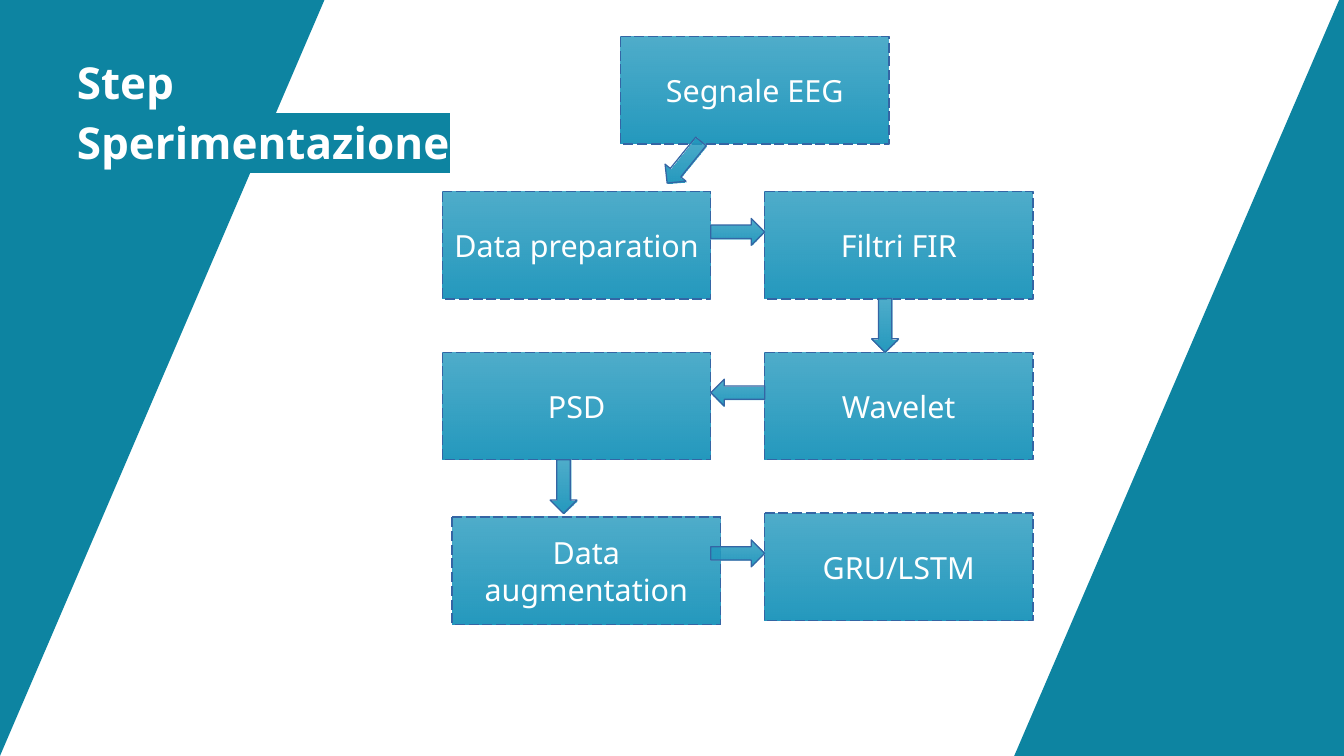
import pptx
import pptx.util
import pptx.dml.color
import pptx.enum.dml
import pptx.enum.shapes
import pptx.enum.text
import pptx.oxml
import pptx.oxml.ns
from pptx.util import Cm

TEAL = pptx.dml.color.RGBColor(0x0D, 0x84, 0xA1)
BLUE = pptx.dml.color.RGBColor(0x24, 0x99, 0xBE)
OUTLINE = pptx.dml.color.RGBColor(0x34, 0x65, 0xA4)
WHITE = pptx.dml.color.RGBColor(0xFF, 0xFF, 0xFF)

SLIDE_WIDTH, SLIDE_HEIGHT = 28, 15.75
BOX_WIDTH, BOX_HEIGHT = 5.59, 2.24
ARROW_WIDTH, ARROW_HEIGHT = 1.12, 0.56
LEFT_COLUMN, RIGHT_COLUMN = 9.22, 15.93
ROWS = 3.99, 7.34, 10.69
GAP_LEFT = LEFT_COLUMN + BOX_WIDTH


def write_text(shape, text, size=18, bold=False, wrap=False, spacing=None,
               alignment=pptx.enum.text.PP_ALIGN.CENTER, highlight=None):
    """Fill the shape with one paragraph per line of text."""
    frame = shape.text_frame
    frame.text = text
    frame.word_wrap = wrap
    frame.vertical_anchor = pptx.enum.text.MSO_ANCHOR.MIDDLE
    for paragraph in frame.paragraphs:
        paragraph.alignment = alignment
        paragraph.line_spacing = spacing
        for run in paragraph.runs:
            run.font.size = pptx.util.Pt(size)
            run.font.bold = bold
            run.font.color.rgb = WHITE
            if highlight is not None:
                run.font._element.append(pptx.oxml.parse_xml(
                    f'<a:highlight {pptx.oxml.ns.nsdecls("a")}>'
                    f'<a:srgbClr val="{highlight}"/></a:highlight>'))
            run.font.name = "Noto Sans"


def add_gradient_shape(kind, left, top, width, height):
    """Add a preset shape that is lighter at its top, whatever its rotation."""
    shape = slide.shapes.add_shape(kind, Cm(left), Cm(top), Cm(width), Cm(height))
    shape.shadow.inherit = False
    shape.fill.gradient()
    shape.fill.gradient_angle = 270
    for stop in shape.fill.gradient_stops:
        stop.color.rgb = BLUE
    gradient = shape._element.spPr.find(pptx.oxml.ns.qn("a:gradFill"))
    gradient.set("rotWithShape", "0")
    top_color = next(gradient.iter(pptx.oxml.ns.qn("a:srgbClr")))
    top_color.append(pptx.oxml.parse_xml(
        f'<a:alpha {pptx.oxml.ns.nsdecls("a")} val="80000"/>'))
    shape.line.color.rgb = OUTLINE
    shape.line.width = 0
    return shape


presentation = pptx.Presentation()
presentation.slide_width = Cm(SLIDE_WIDTH)
presentation.slide_height = Cm(SLIDE_HEIGHT)
slide = presentation.slides.add_slide(presentation.slide_layouts[6])

# Slanted side bands
right_band = [(27.9, 0), (SLIDE_WIDTH, 0), (SLIDE_WIDTH, SLIDE_HEIGHT), (21.13, SLIDE_HEIGHT)]
left_band = [(0, 0), (6.76, 0), (0, SLIDE_HEIGHT)]
for corners in (right_band, left_band):
    points = [(Cm(x), Cm(y)) for x, y in corners]
    builder = slide.shapes.build_freeform(*points[0])
    builder.add_line_segments(points[1:], close=True)
    band = builder.convert_to_shape()
    band.shadow.inherit = False
    band.fill.solid()
    band.fill.fore_color.rgb = TEAL
    band.line.fill.background()

# Title
title = slide.shapes.add_textbox(Cm(1.6), Cm(0.5), Cm(13.9), Cm(3.5))
frame = title.text_frame
frame.margin_left = frame.margin_right = frame.margin_top = frame.margin_bottom = 0
write_text(title, "Step\nSperimentazione", size=26, bold=True, wrap=True, spacing=1.15,
           alignment=pptx.enum.text.PP_ALIGN.LEFT, highlight=TEAL)

# Steps of the experiment
steps = [
    ("Segnale EEG", 12.93, 0.76),
    ("Data preparation", LEFT_COLUMN, ROWS[0]),
    ("Filtri FIR", RIGHT_COLUMN, ROWS[0]),
    ("Wavelet", RIGHT_COLUMN, ROWS[1]),
    ("PSD", LEFT_COLUMN, ROWS[1]),
    ("Data\naugmentation", 9.42, 10.77),
    ("GRU/LSTM", RIGHT_COLUMN, ROWS[2]),
]
for text, left, top in steps:
    box = add_gradient_shape(pptx.enum.shapes.MSO_SHAPE.FLOWCHART_PROCESS,
                             left, top, BOX_WIDTH, BOX_HEIGHT)
    box.line.dash_style = pptx.enum.dml.MSO_LINE.LONG_DASH
    write_text(box, text)

# Arrows from each step to the next
arrows = [
    (13.69, 3.1, 129),
    (GAP_LEFT, ROWS[0] + 0.56, 0),
    (17.88, 6.5, 90),
    (GAP_LEFT, ROWS[1] + 0.56, 180),
    (11.18, 9.86, 90),
    (GAP_LEFT, ROWS[2] + 0.56, 0),
]
for left, top, rotation in arrows:
    arrow = add_gradient_shape(pptx.enum.shapes.MSO_SHAPE.RIGHT_ARROW,
                               left, top, ARROW_WIDTH, ARROW_HEIGHT)
    arrow.rotation = rotation

presentation.save("out.pptx")
